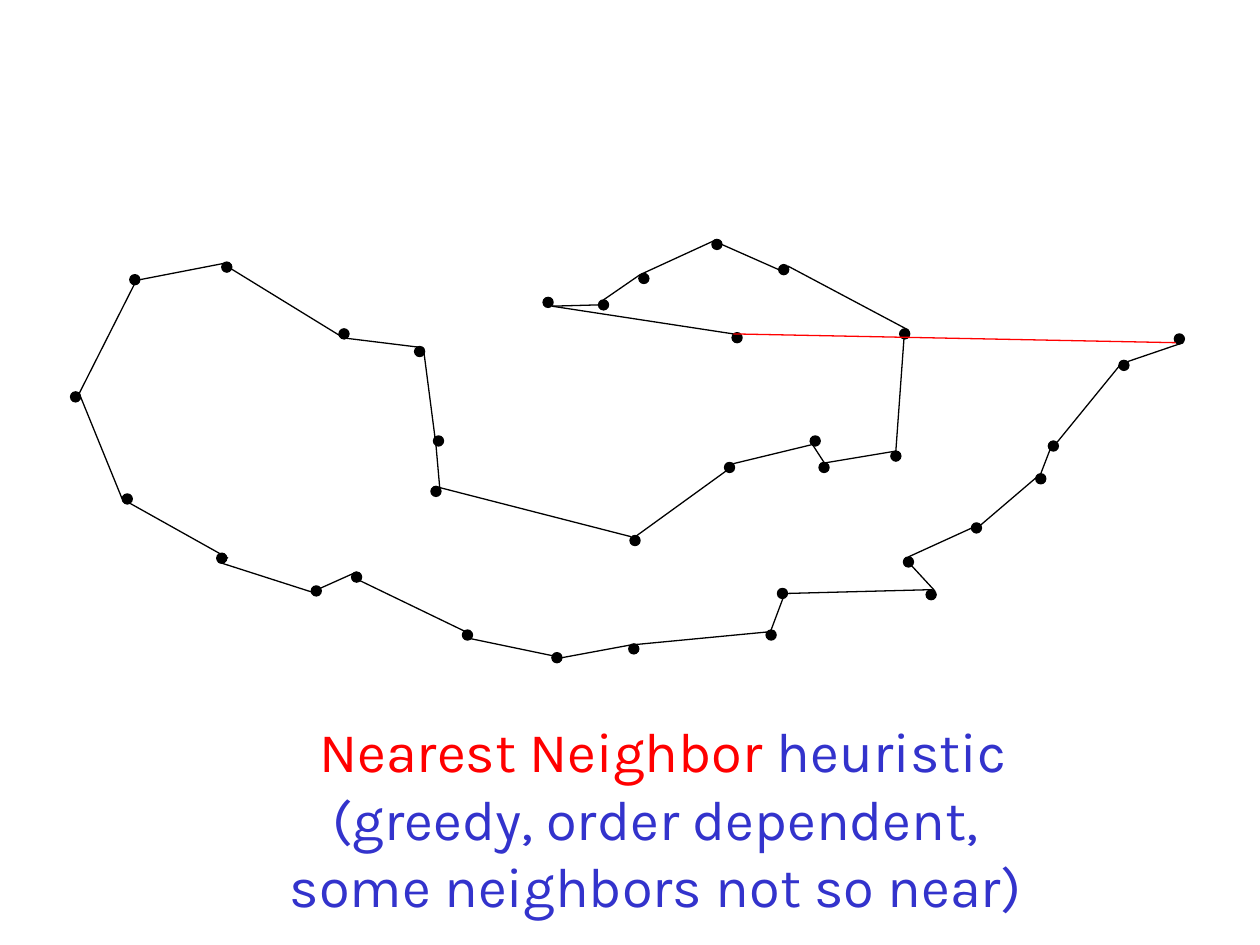
from lxml import etree
from pptx import Presentation
from pptx.dml.color import RGBColor
from pptx.enum import shapes, text
from pptx.oxml.ns import qn
from pptx.util import Inches, Pt

COLORS = {"ink": "000000", "alert": "FF0000", "caption": "3333CC"}
DOT_SIZE = 0.08

# Left and top of each city dot
CITIES = [
    (3.44, 3.46), (3.42, 3.86), (3.67, 5), (3.29, 2.75), (2.69, 2.61),
    (1.76, 2.08), (1.03, 2.18), (0.56, 3.11), (0.97, 3.92), (1.72, 4.39),
    (2.47, 4.65), (2.79, 4.54), (4.38, 5.18), (4.99, 5.11), (6.08, 5),
    (5, 4.25), (4.31, 2.36), (4.75, 2.38), (5.07, 2.17), (5.65, 1.9),
    (6.18, 2.1), (5.81, 2.64), (6.43, 3.46), (6.5, 3.67), (5.75, 3.67),
    (6.17, 4.67), (7.17, 4.42), (7.35, 4.68), (7.71, 4.15), (7.07, 3.58),
    (7.14, 2.61), (8.22, 3.76), (8.32, 3.5), (8.88, 2.86), (9.32, 2.65),
]

# Legs of the tour in visiting order: x1, y1, x2, y2
TOUR = [
    (9.39, 2.72, 8.95, 2.87), (8.92, 2.86, 8.39, 3.51),
    (8.36, 3.5, 8.26, 3.76), (8.26, 3.76, 7.78, 4.17),
    (7.78, 4.16, 7.21, 4.42), (7.18, 4.43, 7.42, 4.69),
    (7.39, 4.68, 6.25, 4.71), (6.24, 4.68, 6.12, 5),
    (6.15, 5.01, 5, 5.12), (5, 5.12, 4.46, 5.22),
    (4.46, 5.22, 3.74, 5.07), (3.75, 5.04, 2.86, 4.61),
    (2.83, 4.54, 2.54, 4.67), (2.54, 4.72, 1.73, 4.46),
    (1.81, 4.43, 0.97, 3.96), (0.97, 3.96, 0.64, 3.15),
    (0.63, 3.12, 1.1, 2.19), (1.11, 2.22, 1.78, 2.09),
    (1.78, 2.1, 2.74, 2.69), (2.71, 2.68, 3.36, 2.76),
    (3.36, 2.76, 3.46, 3.53), (3.46, 3.53, 3.49, 3.87),
    (3.49, 3.87, 5.01, 4.26), (5, 4.29, 5.76, 3.74),
    (5.82, 3.68, 6.44, 3.53), (6.43, 3.5, 6.54, 3.67),
    (6.51, 3.68, 7.11, 3.58), (7.11, 3.58, 7.18, 2.61),
    (7.21, 2.62, 6.25, 2.11), (6.18, 2.14, 5.66, 1.91),
    (5.69, 1.9, 5.08, 2.18), (5.08, 2.18, 4.79, 2.38),
    (4.75, 2.42, 4.38, 2.43), (4.38, 2.43, 5.82, 2.65),
]
RETURN_LEG = (5.82, 2.65, 9.33, 2.72)

CAPTION = [
    [("Nearest Neighbor ", "alert"), ("heuristic", "caption")],
    [("(greedy, order dependent, ", "caption")],
    [("some neighbors not so near) ", "caption")],
]


class TourSlide:
    font_format = {"name": "Karla", "size": Pt(32)}
    frame_format = {
        "word_wrap": True,
        "auto_size": text.MSO_AUTO_SIZE.SHAPE_TO_FIT_TEXT,
        "vertical_anchor": text.MSO_ANCHOR.TOP,
    }
    line_width = Pt(0.75)

    def __init__(self, slide):
        self.shapes = slide.shapes

    @staticmethod
    def apply(target, formats):
        for attribute, value in formats.items():
            setattr(target, attribute, value)

    @staticmethod
    def color(name):
        return RGBColor.from_string(COLORS[name])

    def stroke(self, line, color):
        line.color.rgb = self.color(color)
        line.width = self.line_width

    def city(self, left, top):
        dot = self.shapes.add_shape(
            shapes.MSO_SHAPE.FLOWCHART_CONNECTOR,
            *map(Inches, (left, top, DOT_SIZE, DOT_SIZE)))
        dot.shadow.inherit = False
        dot.fill.solid()
        dot.fill.fore_color.rgb = self.color("ink")
        self.stroke(dot.line, "ink")

    def leg(self, ends, color="ink"):
        leg = self.shapes.add_connector(
            shapes.MSO_CONNECTOR.STRAIGHT, *map(Inches, ends))
        self.stroke(leg.line, color)
        etree.SubElement(leg._element.spPr, qn("a:effectLst"))

    def caption(self, box, lines):
        """Write centred lines, each a list of (words, colour name)."""
        frame = self.shapes.add_textbox(*map(Inches, box)).text_frame
        self.apply(frame, self.frame_format)
        for index, pieces in enumerate(lines):
            paragraph = frame.add_paragraph() if index else frame.paragraphs[0]
            paragraph.alignment = text.PP_ALIGN.CENTER
            for words, color in pieces:
                run = paragraph.add_run()
                run.text = words
                self.apply(run.font, self.font_format)
                run.font.color.rgb = self.color(color)


def main():
    deck = Presentation()
    deck.slide_width, deck.slide_height = Inches(10), Inches(7.5)
    slide = TourSlide(deck.slides.add_slide(deck.slide_layouts[6]))
    for city in CITIES:
        slide.city(*city)
    for leg in TOUR:
        slide.leg(leg)
    slide.leg(RETURN_LEG, "alert")
    slide.caption((0.75, 5.64, 9.02, 1.7), CAPTION)
    deck.save("out.pptx")


if __name__ == "__main__":
    main()
